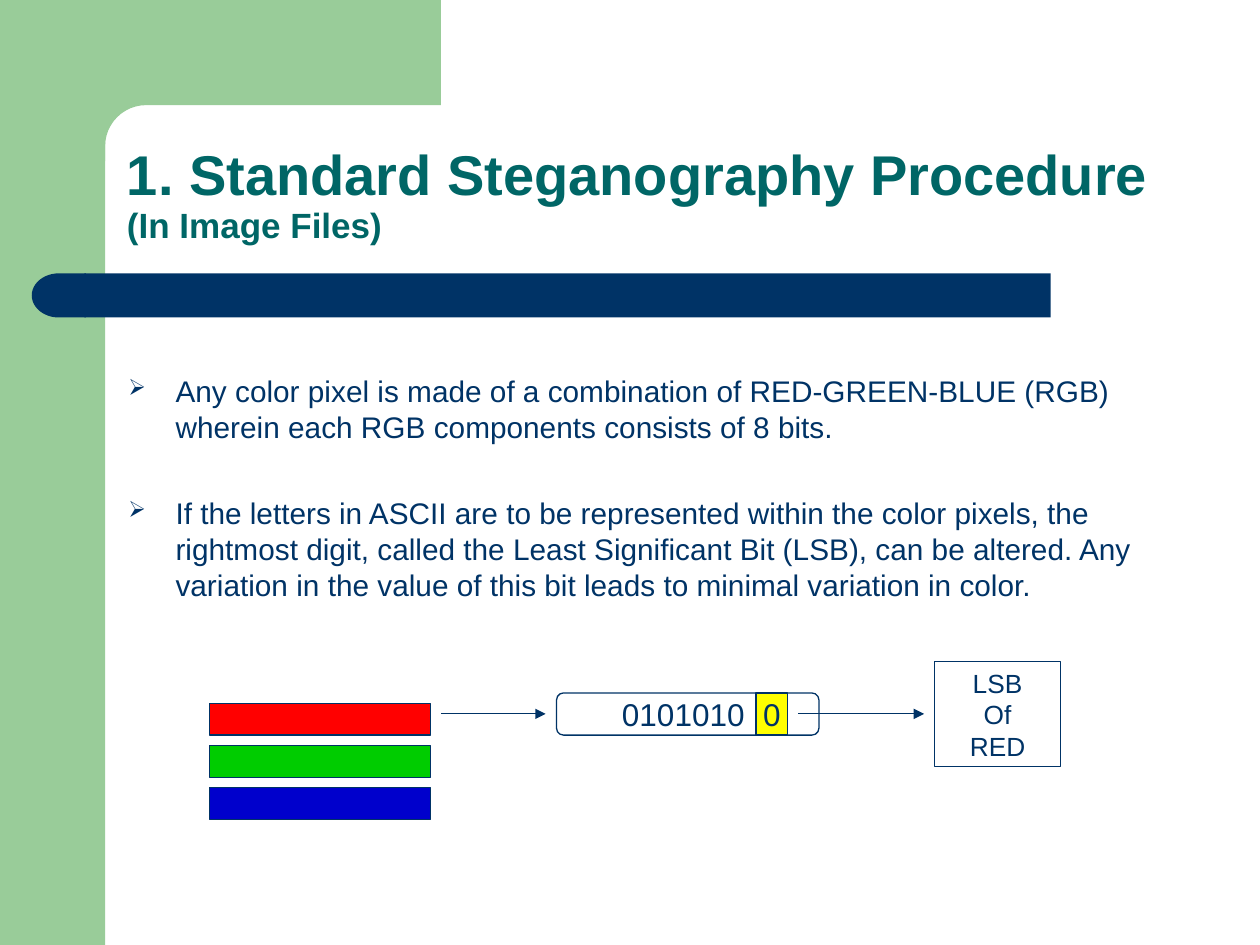
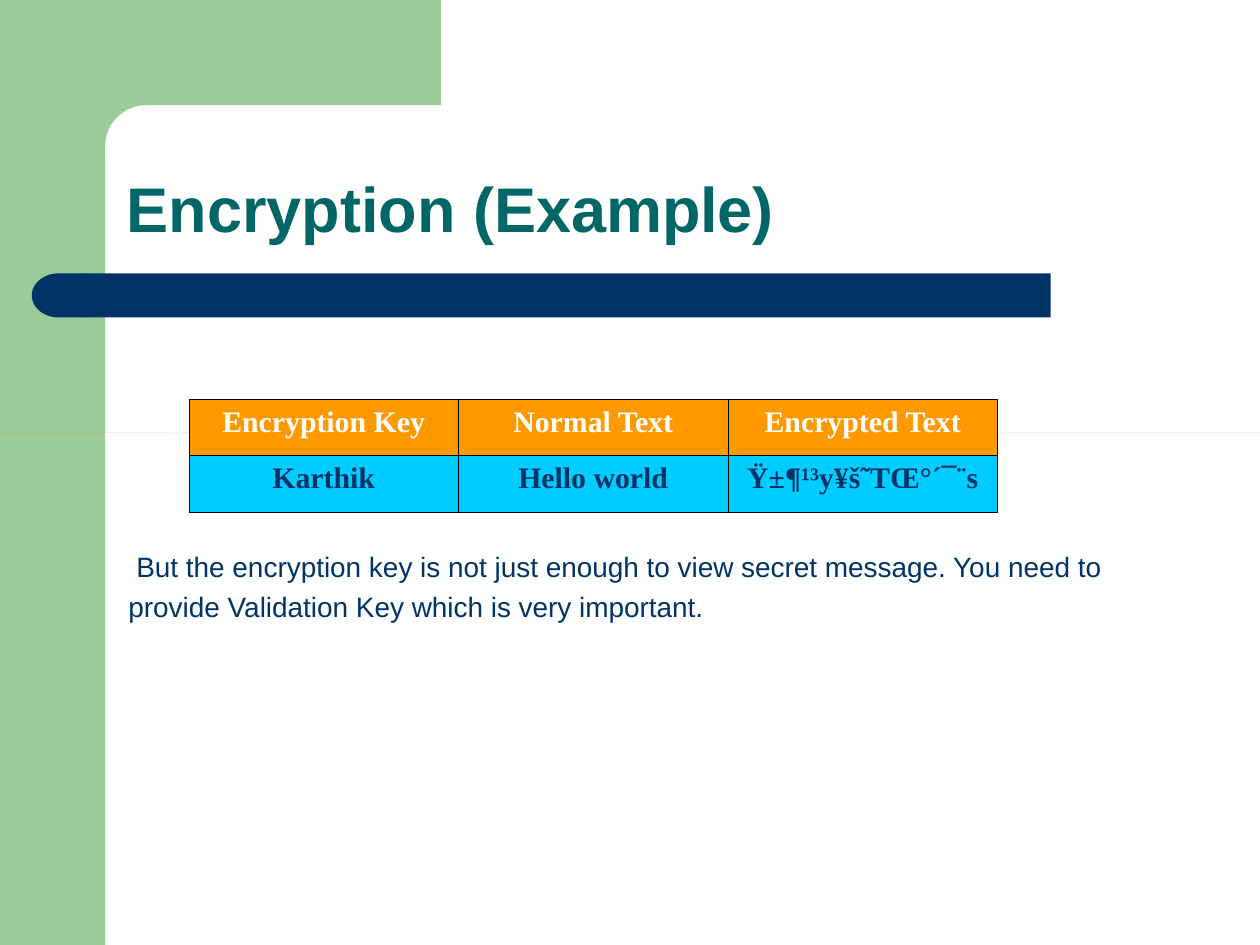
from dataclasses import dataclass, field
from math import cos, pi, sin
from typing import Any, Optional

from lxml.etree import SubElement
from pptx import Presentation
from pptx.dml.color import RGBColor
from pptx.enum.shapes import MSO_CONNECTOR, MSO_SHAPE
from pptx.enum.text import MSO_ANCHOR, PP_ALIGN
from pptx.oxml.ns import qn
from pptx.util import Cm, Pt


# Theme: colours, fonts and type sizes
@dataclass(frozen=True)
class Theme:
    panel: str = "99CC99"
    navy: str = "003366"
    title: str = "006666"
    white: str = "FFFFFF"
    black: str = "000000"
    red: str = "FF0000"
    green: str = "00CC00"
    blue: str = "0000CC"
    yellow: str = "FFFF00"
    rule: str = "FF6600"
    header: str = "FF9900"
    cell: str = "00CCFF"
    sans: str = "Arial"
    serif: str = "Times New Roman"
    long_title_size: float = 32
    title_size: float = 36
    subtitle_size: float = 20
    bullet_size: float = 17
    note_size: float = 16
    bits_size: float = 18
    label_size: float = 15
    table_size: float = 17
    outline: float = 0.75
    border: float = 0.45


THEME = Theme()


@dataclass(frozen=True)
class Frame:
    """Left, top, width and height in centimetres."""
    left: float
    top: float
    width: float
    height: float

    def lengths(self) -> tuple:
        return Cm(self.left), Cm(self.top), Cm(self.width), Cm(self.height)


@dataclass(frozen=True)
class Box:
    frame: Frame
    kind: Any = MSO_SHAPE.RECTANGLE
    fill: Optional[str] = None
    outline: Optional[str] = None
    lines: tuple = ()
    size: float = THEME.bits_size
    margin_right: float = 0
    rotation: float = 0
    spacing: dict = field(default_factory=dict)


@dataclass(frozen=True)
class Arrow:
    start: float
    end: float
    height: float


TITLE_FRAME = Frame(2.31, 2.31, 21.62, 2.77)
BODY_FRAME = Frame(2.34, 6.55, 21.36, 10.34)

BAND = (
    Box(Frame(1.7, 5.51, 19.48, 0.89), fill=THEME.navy),
    Box(Frame(0.64, 5.51, 1.09, 0.89), MSO_SHAPE.FLOWCHART_DELAY,
        fill=THEME.navy, rotation=180),
)


def apply_format(target: Any, values: dict) -> None:
    for name, value in values.items():
        setattr(target, name, value)


def format_font(font: Any, size: float, color: str = THEME.navy,
                name: str = THEME.sans, bold: bool = False) -> None:
    apply_format(font, {"name": name, "size": Pt(size), "bold": bold})
    font.color.rgb = RGBColor.from_string(color)


def paint(shape: Any, fill: Optional[str], outline: Optional[str] = None) -> None:
    shape.shadow.inherit = False
    if fill:
        shape.fill.solid()
        shape.fill.fore_color.rgb = RGBColor.from_string(fill)
    else:
        shape.fill.background()
    if outline:
        shape.line.color.rgb = RGBColor.from_string(outline)
        shape.line.width = Pt(THEME.outline)
    else:
        shape.line.fill.background()


def draw_box(slide: Any, box: Box) -> None:
    shape = slide.shapes.add_shape(box.kind, *box.frame.lengths())
    shape.rotation = box.rotation
    paint(shape, box.fill, box.outline)
    if not box.lines:
        return
    text_frame = shape.text_frame
    apply_format(text_frame, {
        "margin_left": 0, "margin_top": 0, "margin_bottom": 0,
        "margin_right": Cm(box.margin_right),
        "vertical_anchor": MSO_ANCHOR.MIDDLE, "word_wrap": True,
    })
    text_frame.text = "\n".join(box.lines)
    for paragraph in text_frame.paragraphs:
        apply_format(paragraph, {"alignment": PP_ALIGN.CENTER, **box.spacing})
        format_font(paragraph.runs[0].font, box.size)


def draw_arrow(slide: Any, arrow: Arrow) -> None:
    connector = slide.shapes.add_connector(
        MSO_CONNECTOR.STRAIGHT, Cm(arrow.start), Cm(arrow.height),
        Cm(arrow.end), Cm(arrow.height))
    connector.line.color.rgb = RGBColor.from_string(THEME.navy)
    connector.line.width = Pt(THEME.outline)
    SubElement(connector.line._get_or_add_ln(), qn("a:tailEnd"), type="triangle")
    SubElement(connector._element.spPr, qn("a:effectLst"))


def add_text_box(slide: Any, frame: Frame, values: dict) -> Any:
    text_frame = slide.shapes.add_textbox(*frame.lengths()).text_frame
    apply_format(text_frame, {"word_wrap": True, **values})
    return text_frame


# Parts shared by both slides
def draw_corner(slide: Any) -> None:
    center, radius, steps = 2.95, 0.83, 12
    angles = [pi / 2 * step / steps for step in range(steps + 1)]
    arc = [(center - radius * sin(a), center - radius * cos(a)) for a in angles]
    outline = [(8.89, 2.12), *arc, (2.12, 3.25), (1.27, 3.25), (1.27, 0)]
    builder = slide.shapes.build_freeform(Cm(8.89), 0)
    builder.add_line_segments([(Cm(x), Cm(y)) for x, y in outline], close=True)
    paint(builder.convert_to_shape(), THEME.panel)


def add_base_slide(presentation: Any, title: str, size: float,
                   subtitle: str = "") -> Any:
    slide = presentation.slides.add_slide(presentation.slide_layouts[6])
    draw_box(slide, Box(Frame(0, 0, 2.12, 19.05), fill=THEME.panel))
    draw_corner(slide)
    for box in BAND:
        draw_box(slide, box)
    text_frame = add_text_box(slide, TITLE_FRAME,
                              {"vertical_anchor": MSO_ANCHOR.BOTTOM})
    paragraph = text_frame.paragraphs[0]
    paragraph.line_spacing = 0.9
    run = paragraph.add_run()
    run.text = title
    format_font(run.font, size, THEME.title, bold=True)
    if subtitle:
        paragraph.add_line_break()
        run = paragraph.add_run()
        run.text = subtitle
        format_font(run.font, THEME.subtitle_size, THEME.title, bold=True)
    return slide


def set_bullet(paragraph: Any) -> None:
    properties = paragraph._p.get_or_add_pPr()
    properties.set("marL", str(Cm(0.95)))
    properties.set("indent", str(-Cm(0.95)))
    color = SubElement(properties, qn("a:buClr"))
    SubElement(color, qn("a:srgbClr"), val=THEME.navy)
    SubElement(properties, qn("a:buSzPct"), val="75000")
    SubElement(properties, qn("a:buChar"), char="➢")


# Slide 1: the least significant bit of a pixel
BULLETS = (
    "Any color pixel is made of a combination of RED-GREEN-BLUE (RGB) wherein "
    "each RGB components consists of 8 bits.",
    "If the letters in ASCII are to be represented within the color pixels, the "
    "rightmost digit, called the Least Significant Bit (LSB), can be altered. Any "
    "variation in the value of this bit leads to minimal variation in color.",
)
CHANNELS = (THEME.red, THEME.green, THEME.blue)
BIT_BOXES = (
    Box(Frame(11.22, 13.97, 5.29, 0.85), MSO_SHAPE.ROUNDED_RECTANGLE,
        outline=THEME.navy, lines=("0101010",), margin_right=0.18),
    Box(Frame(15.24, 13.97, 0.64, 0.85), fill=THEME.yellow,
        outline=THEME.navy, lines=("0",)),
    Box(Frame(18.84, 13.34, 2.54, 2.12), outline=THEME.navy,
        lines=("LSB", "Of", "RED"), size=THEME.label_size,
        spacing={"line_spacing": Pt(18)}),
)
ARROWS = (Arrow(8.89, 11.0, 14.39), Arrow(16.09, 18.63, 14.39))


def build_procedure_slide(presentation: Any) -> None:
    slide = add_base_slide(presentation, "1. Standard Steganography Procedure",
                           THEME.long_title_size, "(In Image Files)")
    text_frame = add_text_box(slide, BODY_FRAME, {"margin_top": Cm(0.95)})
    text_frame.text = "\n".join(BULLETS)
    for index, paragraph in enumerate(text_frame.paragraphs):
        set_bullet(paragraph)
        apply_format(paragraph, {"line_spacing": Pt(20.6),
                                 "space_before": Pt(28.5 if index else 0)})
        format_font(paragraph.runs[0].font, THEME.bullet_size)
    for index, color in enumerate(CHANNELS):
        draw_box(slide, Box(Frame(4.23, 14.18 + 0.85 * index, 4.45, 0.64),
                            fill=color, outline=THEME.navy))
    for box in BIT_BOXES:
        draw_box(slide, box)
    for arrow in ARROWS:
        draw_arrow(slide, arrow)


# Slide 2: the encryption table
TABLE_FRAME = Frame(3.81, 8.05, 16.3, 2.28)
TABLE_ROWS = (
    (THEME.header, THEME.white,
     ("Encryption Key", "Normal Text", "Encrypted Text")),
    (THEME.cell, THEME.navy,
     ("Karthik", "Hello world", "Ÿ±¶¹³y¥š˜TŒ°´¯¨s")),
)
NOTE = ("But the encryption key is not just enough to view secret message. "
        "You need to provide Validation Key which is very important.")


def set_borders(cell: Any) -> None:
    properties = cell._tc.get_or_add_tcPr()
    for index, edge in enumerate(("a:lnL", "a:lnR", "a:lnT", "a:lnB")):
        line = properties.makeelement(qn(edge), {"w": str(Pt(THEME.border))})
        fill = SubElement(line, qn("a:solidFill"))
        SubElement(fill, qn("a:srgbClr"), val=THEME.black)
        properties.insert(index, line)


def draw_table(slide: Any) -> None:
    table = slide.shapes.add_table(len(TABLE_ROWS), len(TABLE_ROWS[0][2]),
                                   *TABLE_FRAME.lengths()).table
    apply_format(table, {"first_row": False, "horz_banding": False})
    for row_index, (fill, color, words) in enumerate(TABLE_ROWS):
        for column_index, text in enumerate(words):
            cell = table.cell(row_index, column_index)
            cell.fill.solid()
            cell.fill.fore_color.rgb = RGBColor.from_string(fill)
            set_borders(cell)
            cell.text = text
            paragraph = cell.text_frame.paragraphs[0]
            paragraph.alignment = PP_ALIGN.CENTER
            format_font(paragraph.runs[0].font, THEME.table_size, color,
                        THEME.serif, bold=True)


def build_example_slide(presentation: Any) -> None:
    slide = add_base_slide(presentation, "Encryption (Example)", THEME.title_size)
    text_frame = add_text_box(slide, BODY_FRAME, {"margin_top": Cm(4.37)})
    paragraph = text_frame.paragraphs[0]
    paragraph.text = NOTE
    paragraph.line_spacing = Pt(23.4)
    paragraph._p.get_or_add_pPr().set("indent", str(Cm(0.16)))
    format_font(paragraph.runs[0].font, THEME.note_size)
    draw_box(slide, Box(Frame(0, 8.71, 25.4, 0), fill=THEME.rule))
    draw_table(slide)


def main() -> None:
    presentation = Presentation()
    apply_format(presentation, {"slide_width": Cm(25.4), "slide_height": Cm(19.05)})
    build_procedure_slide(presentation)
    build_example_slide(presentation)
    presentation.save("out.pptx")


if __name__ == "__main__":
    main()
